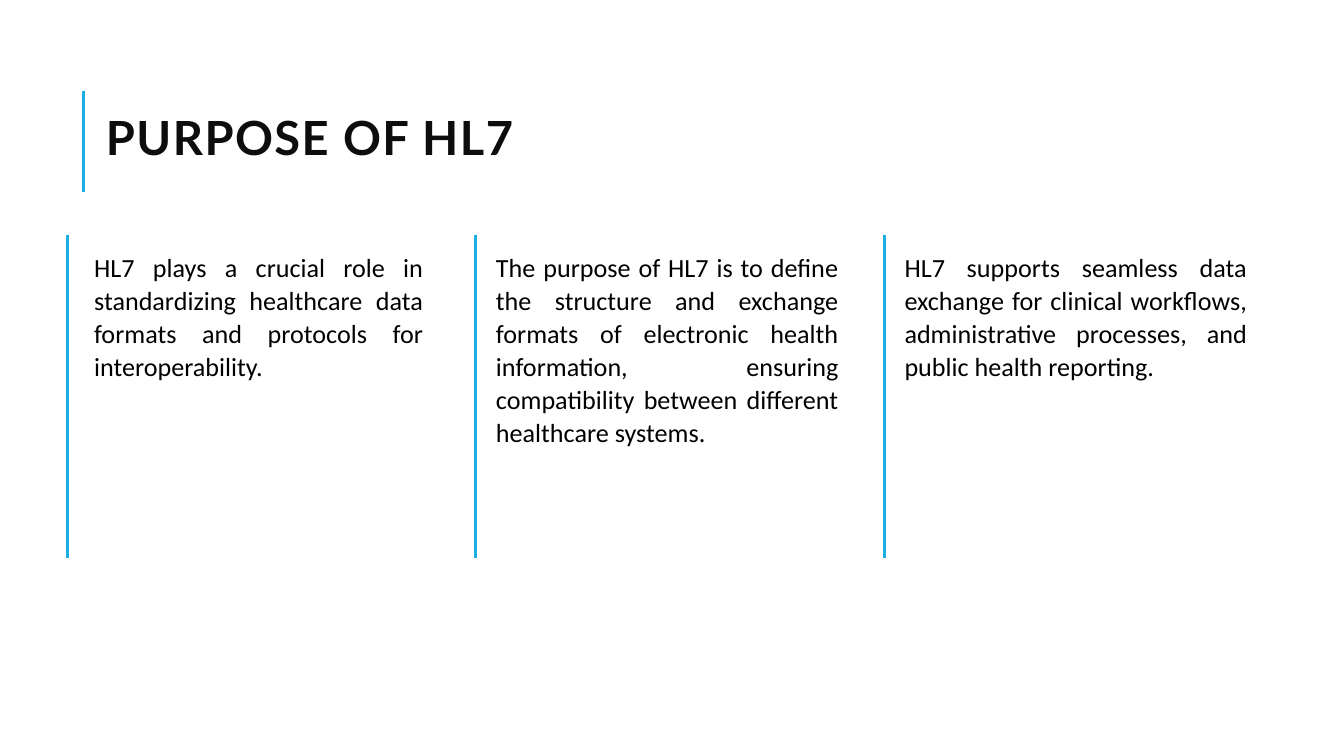
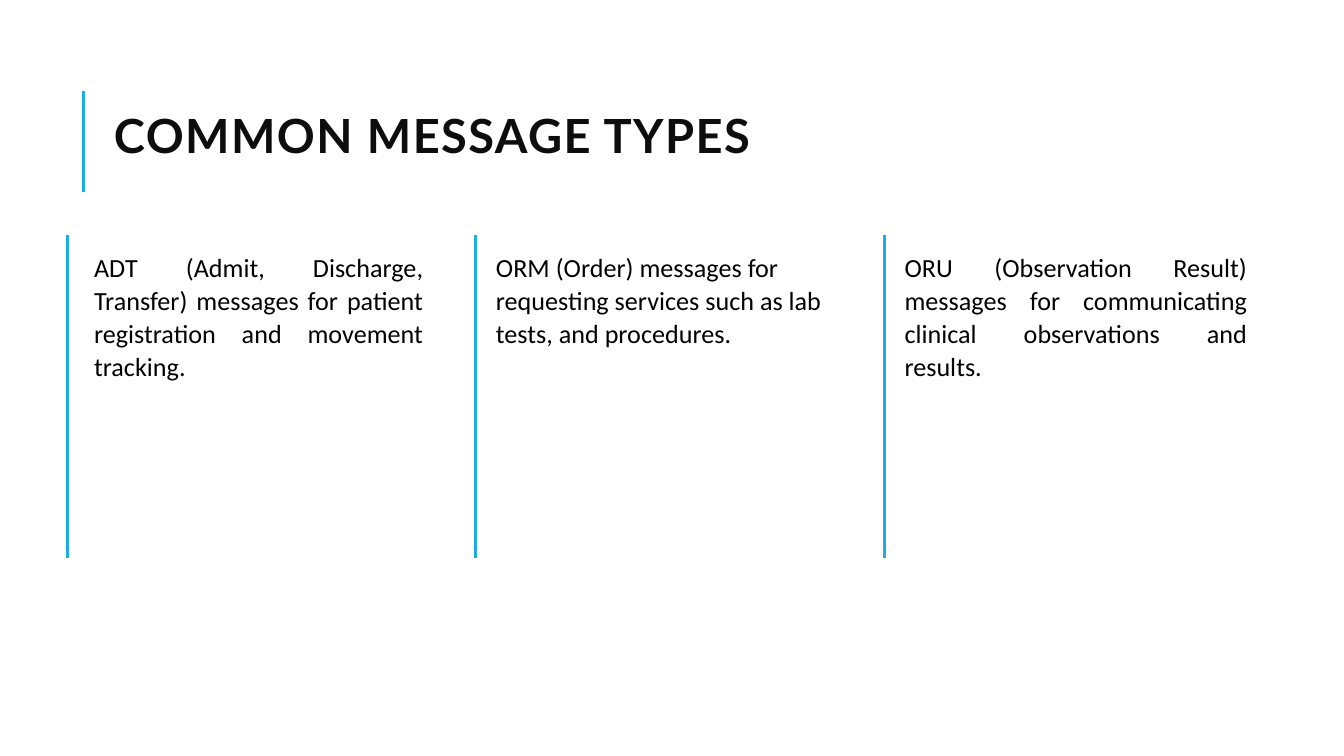
from pptx import Presentation
from pptx.dml.color import RGBColor
from pptx.enum.shapes import MSO_CONNECTOR
from pptx.enum.text import MSO_ANCHOR, PP_ALIGN
from pptx.oxml.ns import qn
from pptx.util import Inches, Pt

COLORS = {"background": "FFFFFF", "accent": "1CADE4", "title": "0D0D0D", "body": "000000"}
COLUMN_LEFT, COLUMN_STEP, COLUMN_WIDTH = 0.5, 3.04, 2.85
COLUMN_TOP, COLUMN_BOTTOM = 1.75, 4.15


def color(key):
    return RGBColor.from_string(COLORS[key])


def add_rule(slide, x, start, end):
    rule = slide.shapes.add_connector(
        MSO_CONNECTOR.STRAIGHT, Inches(x), Inches(start), Inches(x), Inches(end))
    rule.line.color.rgb = color("accent")
    rule.line.width = Pt(1.5)
    properties = rule._element.spPr
    properties.append(properties.makeelement(qn("a:effectLst"), {}))


def add_text(slide, text, box, side_inset, font_name, size, ink, line_spacing):
    frame = slide.shapes.add_textbox(*map(Inches, box)).text_frame
    frame.word_wrap = True
    frame.margin_left = frame.margin_right = Inches(side_inset)
    frame.margin_top = frame.margin_bottom = Inches(0.1)
    frame.text = text
    paragraph = frame.paragraphs[0]
    paragraph.line_spacing = line_spacing
    font = paragraph.runs[0].font
    font.name, font.size = font_name, Pt(size)
    font.color.rgb = color(ink)
    return frame


def add_title(slide, title, left, top):
    add_rule(slide, 0.62, 1.43, 0.68)
    frame = add_text(slide, title, (left, top, 9, 0.63), 0.1, "Lato", 25.2, "title", 0.8)
    frame.vertical_anchor = MSO_ANCHOR.MIDDLE
    heading = frame.paragraphs[0].runs[0]
    heading.font.bold = True
    heading.font._element.set("spc", "80")


def add_column(slide, index, text, alignment):
    left = COLUMN_LEFT + index * COLUMN_STEP
    side_inset = 0.15 if index else 0.2
    box = (left, COLUMN_TOP + 0.01, COLUMN_WIDTH, COLUMN_BOTTOM - COLUMN_TOP - 0.01)
    frame = add_text(slide, text, box, side_inset, "Calibri", 14, "body", 1.05)
    paragraph = frame.paragraphs[0]
    paragraph.alignment = alignment
    paragraph.space_after = Pt(10)
    add_rule(slide, left, COLUMN_TOP, COLUMN_BOTTOM)


def add_column_slide(deck, title, title_left, title_top, columns):
    slide = deck.slides.add_slide(deck.slide_layouts[6])
    slide.background.fill.solid()
    slide.background.fill.fore_color.rgb = color("background")
    add_title(slide, title, title_left, title_top)
    for index, (text, alignment) in enumerate(columns):
        add_column(slide, index, text, alignment)


def main():
    deck = Presentation()
    deck.slide_width = Inches(10)
    deck.slide_height = Inches(10 * 9 / 16)
    add_column_slide(deck, "PURPOSE OF HL7", 0.69, 0.74, [
        ("HL7 plays a crucial role in standardizing healthcare data formats and "
         "protocols for interoperability.", PP_ALIGN.JUSTIFY),
        ("The purpose of HL7 is to define the structure and exchange formats of "
         "electronic health information, ensuring compatibility between different "
         "healthcare systems.", PP_ALIGN.JUSTIFY),
        ("HL7 supports seamless data exchange for clinical workflows, administrative "
         "processes, and public health reporting.", PP_ALIGN.JUSTIFY),
    ])
    add_column_slide(deck, "COMMON MESSAGE TYPES", 0.75, 0.73, [
        ("ADT (Admit, Discharge, Transfer) messages for patient registration and "
         "movement tracking.", PP_ALIGN.JUSTIFY),
        ("ORM (Order) messages for requesting services such as lab tests, and "
         "procedures.", PP_ALIGN.LEFT),
        ("ORU (Observation Result) messages for communicating clinical observations "
         "and results.", PP_ALIGN.JUSTIFY),
    ])
    deck.save("out.pptx")


if __name__ == "__main__":
    main()
